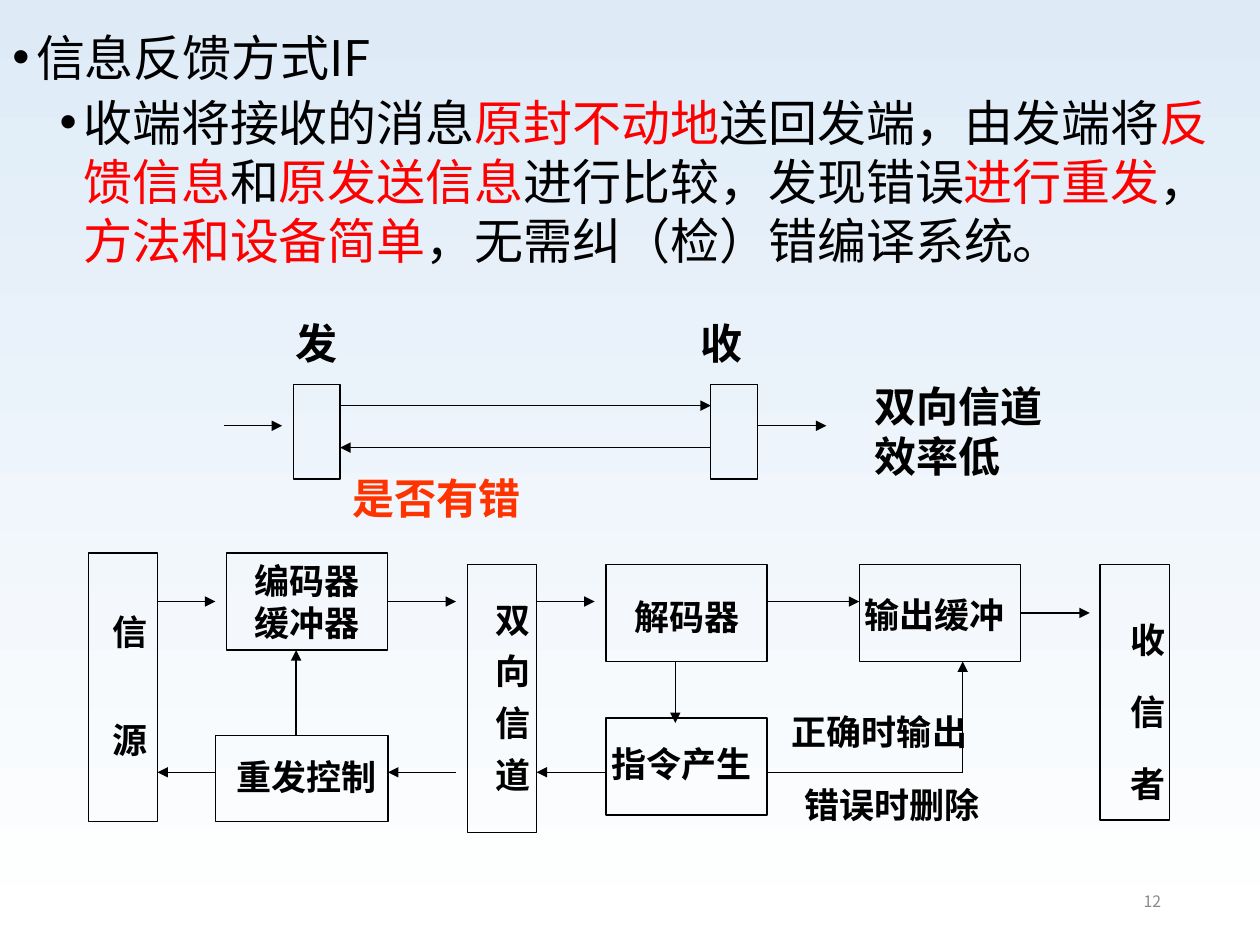
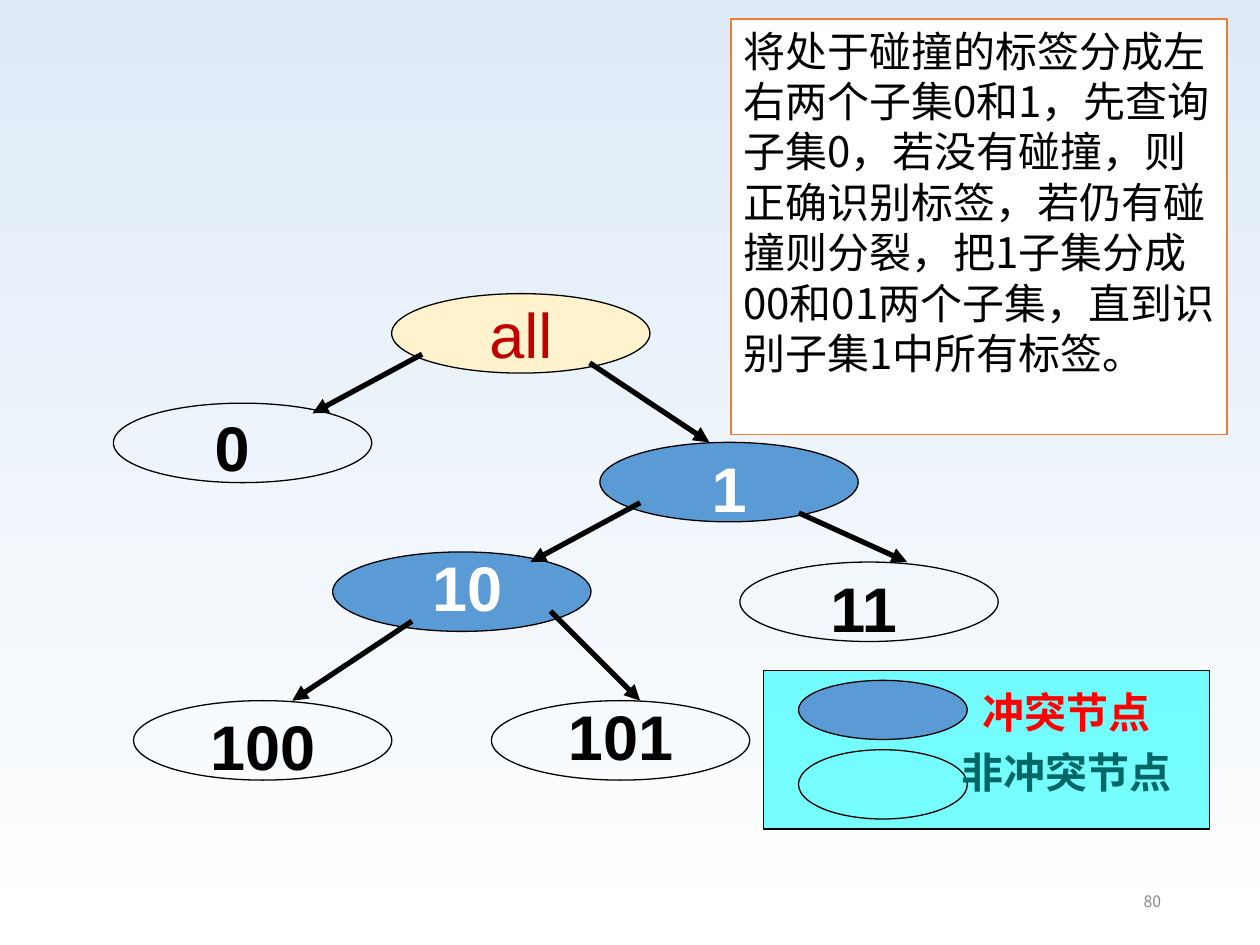
from dataclasses import dataclass

from lxml.etree import SubElement
from pptx import Presentation
from pptx.dml.color import RGBColor
from pptx.enum.shapes import MSO_CONNECTOR as Connector, MSO_SHAPE as Shape
from pptx.enum.text import MSO_ANCHOR as Anchor, PP_ALIGN as Align
from pptx.oxml.ns import qn
from pptx.slide import Slide
from pptx.util import Pt

SKY, WHITE, BLACK, GRAY = "DEEBF7", "FFFFFF", "000000", "898989"
RED, DARK_RED, ORANGE_RED, TEAL = "FF0000", "C00000", "FF3300", "006666"
BLUE, CREAM, ORANGE, CYAN = "5B9BD5", "FFF2CC", "ED7D31", "00FFFF"
BODY_FONT, LABEL_FONT, LATIN_FONT = "Noto Sans CJK SC", "Noto Sans CJK KR", "Arial"
BLANK_LAYOUT = 6
RIGHT_SIDE = 3


def rgb(color):
    return RGBColor.from_string(color)


@dataclass
class Style:
    size: float
    font: str = LABEL_FONT
    color: str = BLACK
    bold: bool = True
    align: Align = Align.LEFT
    spacing: float = 1.2  # line height as a multiple of the size; 0 keeps the font's own


def add_run(paragraph, text, style, color=None):
    run = paragraph.add_run()
    run.text = text
    run.font.size = Pt(style.size)
    run.font.bold = style.bold
    run.font.name = style.font
    run.font.color.rgb = rgb(color or style.color)
    east_asian = BODY_FONT if style.font == LATIN_FONT else style.font
    SubElement(run._r.get_or_add_rPr(), qn("a:ea"), typeface=east_asian)


def write(frame, lines, style, gap=0):
    """Write one paragraph per line, with gap points between them."""
    for index, line in enumerate(lines):
        paragraph = frame.add_paragraph() if index else frame.paragraphs[0]
        paragraph.alignment = style.align
        if style.spacing:
            paragraph.line_spacing = Pt(style.size * style.spacing)
        if index and gap:
            paragraph.space_before = Pt(gap)
        add_run(paragraph, line, style)


@dataclass
class Region:
    """A part of a slide; all positions are points from its left top corner."""
    slide: Slide
    left: float
    top: float

    def place(self, x, y):
        return Pt(self.left + x), Pt(self.top + y)

    def shape(self, kind, box, fill=None, line=BLACK, weight=0.75):
        x, y, width, height = box
        shape = self.slide.shapes.add_shape(kind, *self.place(x, y), Pt(width), Pt(height))
        shape.shadow.inherit = False
        if fill:
            shape.fill.solid()
            shape.fill.fore_color.rgb = rgb(fill)
        else:
            shape.fill.background()
        shape.line.color.rgb = rgb(line)
        shape.line.width = Pt(weight)
        return shape

    def node(self, kind, box, lines, style, nudge=(0, 0), gap=0, fill=None):
        """Draw a shape whose centred text is moved by nudge."""
        shape = self.shape(kind, box, fill)
        frame = shape.text_frame
        frame.word_wrap = False
        frame.vertical_anchor = Anchor.MIDDLE
        right, down = nudge
        frame.margin_left, frame.margin_right = Pt(max(0, 2 * right)), Pt(max(0, -2 * right))
        frame.margin_top, frame.margin_bottom = Pt(max(0, 2 * down)), Pt(max(0, -2 * down))
        write(frame, lines, style, gap)
        return shape

    def label(self, x, y, lines, style, width=125, height=36):
        text_box = self.slide.shapes.add_textbox(*self.place(x, y), Pt(width), Pt(height))
        text_box.text_frame.word_wrap = True
        write(text_box.text_frame, lines, style)
        return text_box

    def connector(self, start, end, weight=0.75, arrow=True):
        line = self.slide.shapes.add_connector(
            Connector.STRAIGHT, *self.place(*start), *self.place(*end))
        line.line.color.rgb = rgb(BLACK)
        line.line.width = Pt(weight)
        if arrow:
            SubElement(line.line._get_or_add_ln(), qn("a:tailEnd"), type="triangle")
        SubElement(line._element.spPr, qn("a:effectLst"))
        return line


def shade_background(master):
    fill = master.background.fill
    fill.gradient()
    fill.gradient_angle = 270
    for stop, color in zip(fill.gradient_stops, (SKY, WHITE)):
        stop.color.rgb = rgb(color)


def add_slide(presentation, number):
    """Add a blank slide with its page number."""
    slide = presentation.slides.add_slide(presentation.slide_layouts[BLANK_LAYOUT])
    style = Style(9, color=GRAY, bold=False, align=Align.RIGHT, spacing=0)
    footer = Region(slide, 508.5, 500.5).label(0, 0, [number], style, 162, 29)
    footer.text_frame.vertical_anchor = Anchor.MIDDLE
    return slide


def add_bullets(region):
    style = Style(28, BODY_FONT, bold=False)
    heading = ["信息反馈方式IF"]
    # Every second run is highlighted.
    explanation = [
        "收端将接收的消息", "原封不动地", "送回发端，由发端将", "反馈信息", "和",
        "原发送信息", "进行比较，发现错误", "进行重发", "，", "方法和设备简单",
        "，无需纠（检）错编译系统。",
    ]
    text_box = region.slide.shapes.add_textbox(*region.place(0, 0), Pt(718), Pt(172))
    frame = text_box.text_frame
    frame.word_wrap = True
    for level, runs in enumerate((heading, explanation)):
        paragraph = frame.add_paragraph() if level else frame.paragraphs[0]
        properties = paragraph._p.get_or_add_pPr()
        properties.set("marL", str(Pt(13.5 + 27 * level)))
        properties.set("indent", str(Pt(-13.5)))
        SubElement(properties, qn("a:buFont"), typeface=LATIN_FONT)
        SubElement(properties, qn("a:buChar"), char="•")
        paragraph.level = level
        paragraph.line_spacing = Pt(33.8)
        if level:
            paragraph.space_before = Pt(3.2)
        for index, text in enumerate(runs):
            add_run(paragraph, text, style, RED if index % 2 else BLACK)


def add_two_way_channel(region):
    style = Style(24)
    box_width, sender, receiver = 26.6, 39.6, 278
    for left in (sender, receiver):
        region.shape(Shape.RECTANGLE, (left, 42, box_width, 54))
    sender_right, receiver_right = sender + box_width, receiver + box_width
    for start, end, y in (
        (0, 33, 65.5), (sender_right, receiver, 54),
        (receiver, sender_right, 78), (receiver_right, 344, 65.5),
    ):
        region.connector((start, y), (end, y))
    region.label(33.5, 0, ["发"], style, 42)
    region.label(265, 0, ["收"], style, 42)
    region.label(66, 88.5, ["是否有错"], Style(24, color=ORANGE_RED))
    region.label(364.5, 36, ["双向信道", "效率低"], style, height=65)


def add_feedback_system(region):
    style = Style(20, align=Align.CENTER)
    wide, high = 92, 55.5

    def block(box, lines, nudge=(0, 0), gap=0):
        return region.node(Shape.RECTANGLE, box, lines, style, nudge, gap)

    block((0, 0, 39.6, 153.4), "信源", (4, -1), 37.5)
    encoder = block((79.2, 0, wide, high), ["编码器", "缓冲器"])
    block((72.7, 104.4, 98.6, 49), ["重发控制"], (3, -1))
    block((216.7, 6.5, 39.6, 153.4), "双向信道", (6.5, -1), 5.6)
    block((296, 6.5, wide, high), ["解码器"], (0, 2))
    block((296, 94.3, wide, high), ["指令产生"], (-3, -1.5))
    output = block((440.6, 6.5, wide, high), ["输出缓冲"], (-3, 1))
    block((578.2, 6.5, 39.6, 146.2), "收信者", (7.5, 11), 17)

    forward, back = 27.75, 125.3
    for start, end in (
        ((39.6, forward), (72.7, forward)),
        ((256.3, forward), (289.4, forward)),
        ((388, forward), (440.6, forward)),
        ((296, back), (256.3, back)),
        ((210.2, back), (171.3, back)),
        ((72.7, back), (39.6, back)),
        ((118.8, 104.4), (118.8, high)),
        ((335.5, 62), (335.5, 97.2)),
        ((499.7, back), (499.7, 62)),
    ):
        region.connector(start, end)
    region.connector((388, back), (499.7, back), arrow=False)
    region.connector((171.2, forward), (210.2, forward)).begin_connect(encoder, RIGHT_SIDE)
    region.connector((532.6, 34.25), (572.4, 34.25)).begin_connect(output, RIGHT_SIDE)

    region.label(395, 86.5, ["正确时输出"], Style(20))
    region.label(402, 128, ["错误时删除"], Style(20))


def add_explanation(region):
    box = region.shape(Shape.RECTANGLE, (0, 0, 283.7, 237.6), WHITE, ORANGE, 1)
    frame = box.text_frame
    frame.word_wrap = True
    frame.vertical_anchor = Anchor.TOP
    text = ("将处于碰撞的标签分成左右两个子集0和1，先查询子集0，若没有碰撞，"
            "则正确识别标签，若仍有碰撞则分裂，把1子集分成00和01两个子集，"
            "直到识别子集1中所有标签。")
    write(frame, [text], Style(24, BODY_FONT, bold=False))
    # Keep the closing full stop inside the frame.
    frame.paragraphs[0]._p.get_or_add_pPr().set("hangingPunct", "0")


def add_query_tree(region):
    """Draw the nodes, filled where tags collide, and the arrows between them."""
    for name, left, top, fill, color, nudge in (
        ("all", 159, 0, CREAM, DARK_RED, (0, 0)),
        ("1", 278, 85, BLUE, WHITE, (0, 3)),
        ("10", 125.3, 147.6, BLUE, WHITE, (3, -3)),
        ("0", 0, 62.6, None, BLACK, (-6, 2)),
        ("11", 358, 153.4, None, BLACK, (-3, 3)),
        ("100", 11.5, 232.6, None, BLACK, (0, 3)),
        ("101", 216, 232.6, None, BLACK, (0, -3)),
    ):
        style = Style(36, LATIN_FONT, color, name != "all", Align.CENTER, 0)
        region.node(Shape.OVAL, (left, top, 147.6, 45.4), [name], style, nudge, fill=fill)
    for start, end in (
        ((176.4, 34.6), (113.8, 68.4)),
        ((272.2, 39.6), (340.6, 85)),
        ((301, 119.5), (238.3, 153.4)),
        ((391.7, 125.3), (453.6, 153.4)),
        ((170.6, 187.2), (102.2, 232.6)),
        ((249.8, 181.4), (301, 232.6)),
    ):
        region.connector(start, end, 3)


def add_legend(region):
    panel = region.shape(Shape.RECTANGLE, (0, 0, 255, 90.7), CYAN)
    color = panel._element.spPr.find(qn("a:solidFill"))[0]
    SubElement(color, qn("a:alpha"), val="53000")
    for text, color, fill, oval_top, height, text_top in (
        ("冲突节点", RED, BLUE, 5.8, 33.8, 5.8),
        ("非冲突节点", TEAL, None, 45.4, 39.6, 40.3),
    ):
        region.shape(Shape.OVAL, (20, oval_top, 96.5, height), fill)
        style = Style(24, LATIN_FONT, color, align=Align.CENTER)
        region.label(105, text_top, [text], style, 136)


def main():
    presentation = Presentation()
    presentation.slide_width, presentation.slide_height = Pt(720), Pt(540)
    shade_background(presentation.slide_master)

    feedback = add_slide(presentation, "12")
    add_bullets(Region(feedback, 0, 12))
    add_two_way_channel(Region(feedback, 128.2, 177.8))
    add_feedback_system(Region(feedback, 50.4, 316))

    splitting = add_slide(presentation, "80")
    add_explanation(Region(splitting, 417.6, 10.8))
    add_query_tree(Region(splitting, 64.8, 167.8))
    add_legend(Region(splitting, 436.3, 383))

    presentation.save("out.pptx")


if __name__ == "__main__":
    main()
